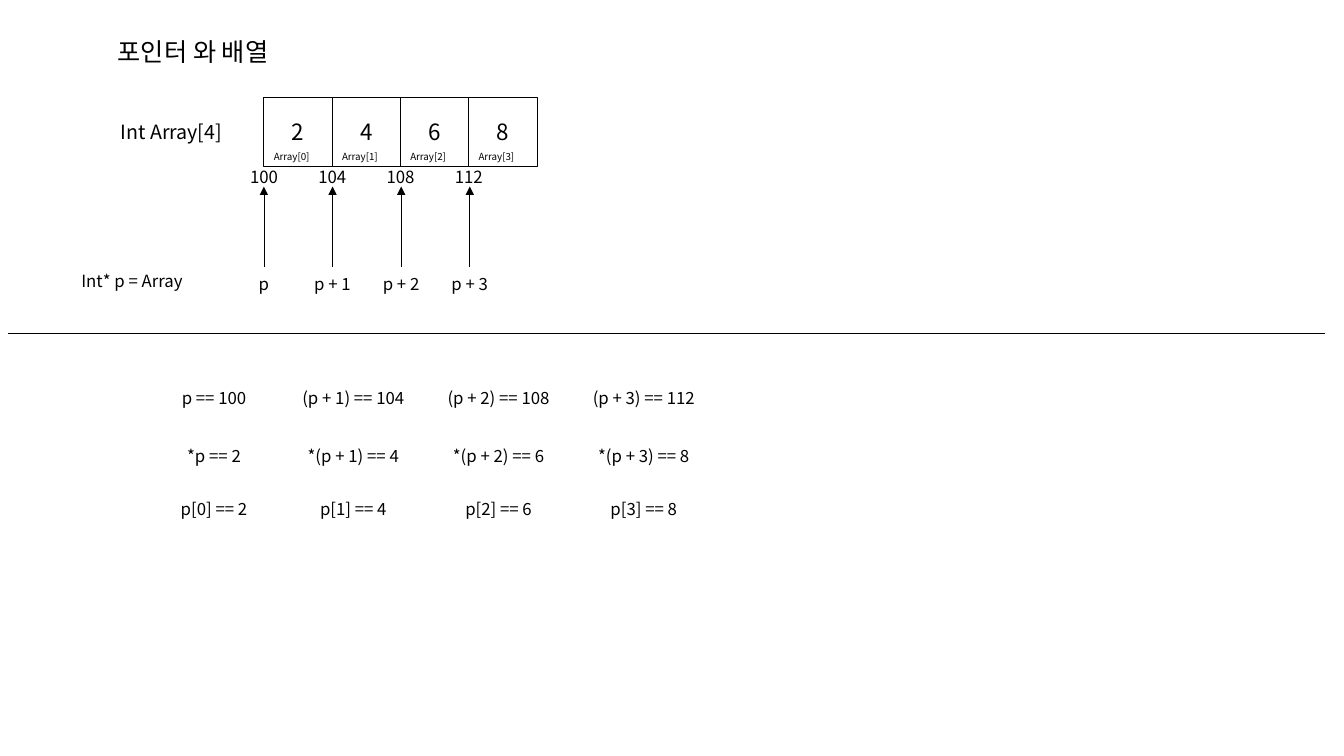
"""Build the slide on pointers and arrays."""
from dataclasses import dataclass

from lxml.etree import SubElement
from pptx import Presentation
from pptx.dml.color import RGBColor
from pptx.enum.shapes import MSO_CONNECTOR as Link, MSO_SHAPE as Preset
from pptx.enum.text import MSO_ANCHOR as Anchor, PP_ALIGN as Align
from pptx.oxml.ns import qn
from pptx.shapes.base import BaseShape
from pptx.util import Cm, Pt

FONT = "Noto Sans CJK KR"
INK = "000000"
CELL_LEFT, CELL_TOP, CELL_SIZE, CELL_PITCH = 6.65, 2.46, 1.73, 1.72
POINTER_PITCH, POINTER_WIDTH = 1.73, 2.0
ARROW_START, ARROW_END = 6.73, 4.7


@dataclass
class Label:
    text: str
    left: float
    top: float
    width: float
    height: float
    size: float = 12
    align: Align = Align.CENTER


@dataclass
class Element:
    value: int
    address: int
    pointer: str


@dataclass
class Column:
    left: float
    width: float
    equations: tuple[str, ...]


ELEMENTS = [
    Element(2, 100, "p"),
    Element(4, 104, "p + 1"),
    Element(6, 108, "p + 2"),
    Element(8, 112, "p + 3"),
]
HEADINGS = [
    Label("포인터 와 배열", 2.26, 0.79, 5.21, 1.02, 18),
    Label("Int Array[4]", 2.79, 3.07, 3.53, 0.51, 14, Align.LEFT),
    Label("Int* p = Array", 1.8, 6.81, 3.28, 0.51, 12, Align.LEFT),
]
EQUATION_TOPS = (9.6, 11.07, 12.4)


def color(code: str) -> RGBColor:
    """Turn a hex string into a colour."""
    return RGBColor.from_string(code)


def write(box: BaseShape, label: Label) -> None:
    """Put the label's text into a shape."""
    frame = box.text_frame
    frame.word_wrap = True
    frame.vertical_anchor = Anchor.MIDDLE
    para = frame.paragraphs[0]
    para.alignment = label.align
    span = para.add_run()
    span.text = label.text
    span.font.size = Pt(label.size)
    span.font.color.rgb = color(INK)
    span.font.name = FONT
    SubElement(span._r.get_or_add_rPr(), qn("a:ea"), typeface=FONT)


def add_label(shapes, label: Label) -> None:
    """Add a text box."""
    place = map(Cm, (label.left, label.top, label.width, label.height))
    write(shapes.add_textbox(*place), label)


def add_cell(shapes, label: Label) -> None:
    """Add an outlined, unfilled array cell."""
    place = map(Cm, (label.left, label.top, label.width, label.height))
    box = shapes.add_shape(Preset.RECTANGLE, *place)
    box.shadow.inherit = False
    box.fill.background()
    box.line.color.rgb = color(INK)
    box.line.width = Pt(0.75)
    write(box, label)


def add_line(shapes, start: tuple[float, float], end: tuple[float, float],
             arrow: bool = False) -> None:
    """Add a thin straight line, with an arrowhead at its end if asked."""
    line = shapes.add_connector(Link.STRAIGHT, *map(Cm, start + end))
    line.line.color.rgb = color(INK)
    line.line.width = Pt(0.5)
    if arrow:
        SubElement(line.line._get_or_add_ln(), qn("a:tailEnd"), type="triangle")
    SubElement(line._element.spPr, qn("a:effectLst"))


def add_element(shapes, index: int, element: Element) -> None:
    """Add a grouped array cell with its name and address, and its pointer."""
    left = CELL_LEFT + index * CELL_PITCH
    group = shapes.add_group_shape().shapes
    add_cell(group, Label(str(element.value), left, CELL_TOP, CELL_SIZE, CELL_SIZE, 16))
    add_label(group, Label(f"Array[{index}]", left, 3.68, 1.47, 0.51, 7, Align.LEFT))
    add_label(group, Label(str(element.address), left - 0.73, 4.19, 1.47, 0.51))
    tip = CELL_LEFT + index * POINTER_PITCH
    add_label(shapes, Label(element.pointer, tip - POINTER_WIDTH / 2, ARROW_START,
                            POINTER_WIDTH, 0.84))
    add_line(shapes, (tip, ARROW_START), (tip, ARROW_END), arrow=True)


def equation_column(index: int, element: Element) -> Column:
    """Work out the place and equations of one column."""
    term = f"({element.pointer})" if index else element.pointer
    equations = (f"{term} == {element.address}", f"*{term} == {element.value}",
                 f"p[{index}] == {element.value}")
    if index == 0:
        return Column(3.86, 3.07, equations)
    return Column(6.96 + 3.66 * (index - 1), 3.89, equations)


def main() -> None:
    """Draw the slide and save it."""
    deck = Presentation()
    deck.slide_width, deck.slide_height = Cm(33.87), Cm(19.05)
    page = deck.slides.add_slide(deck.slide_layouts[6])
    for heading in HEADINGS:
        add_label(page.shapes, heading)
    for index, element in enumerate(ELEMENTS):
        add_element(page.shapes, index, element)
    add_line(page.shapes, (0.2, 8.41), (33.38, 8.41))
    for index, element in enumerate(ELEMENTS):
        column = equation_column(index, element)
        for top, equation in zip(EQUATION_TOPS, column.equations):
            add_label(page.shapes, Label(equation, column.left, top, column.width, 0.84))
    deck.save("out.pptx")


if __name__ == "__main__":
    main()
